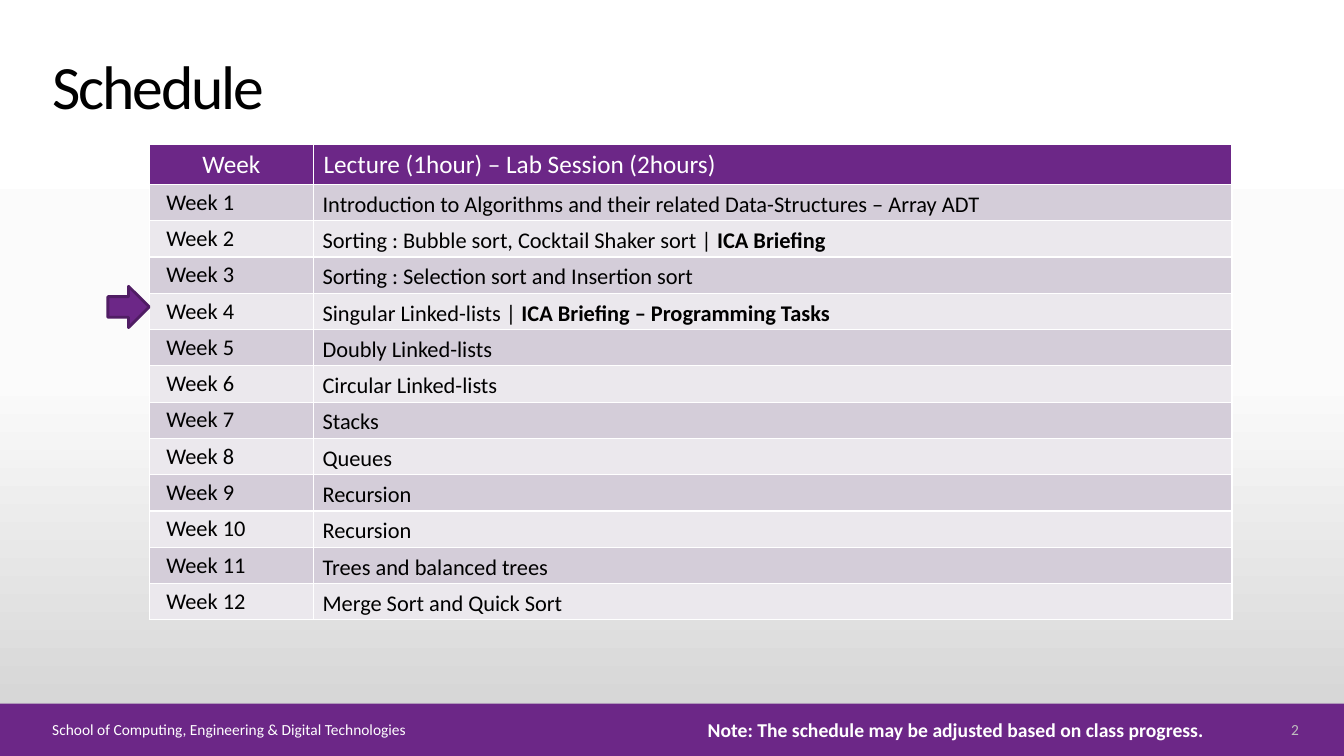
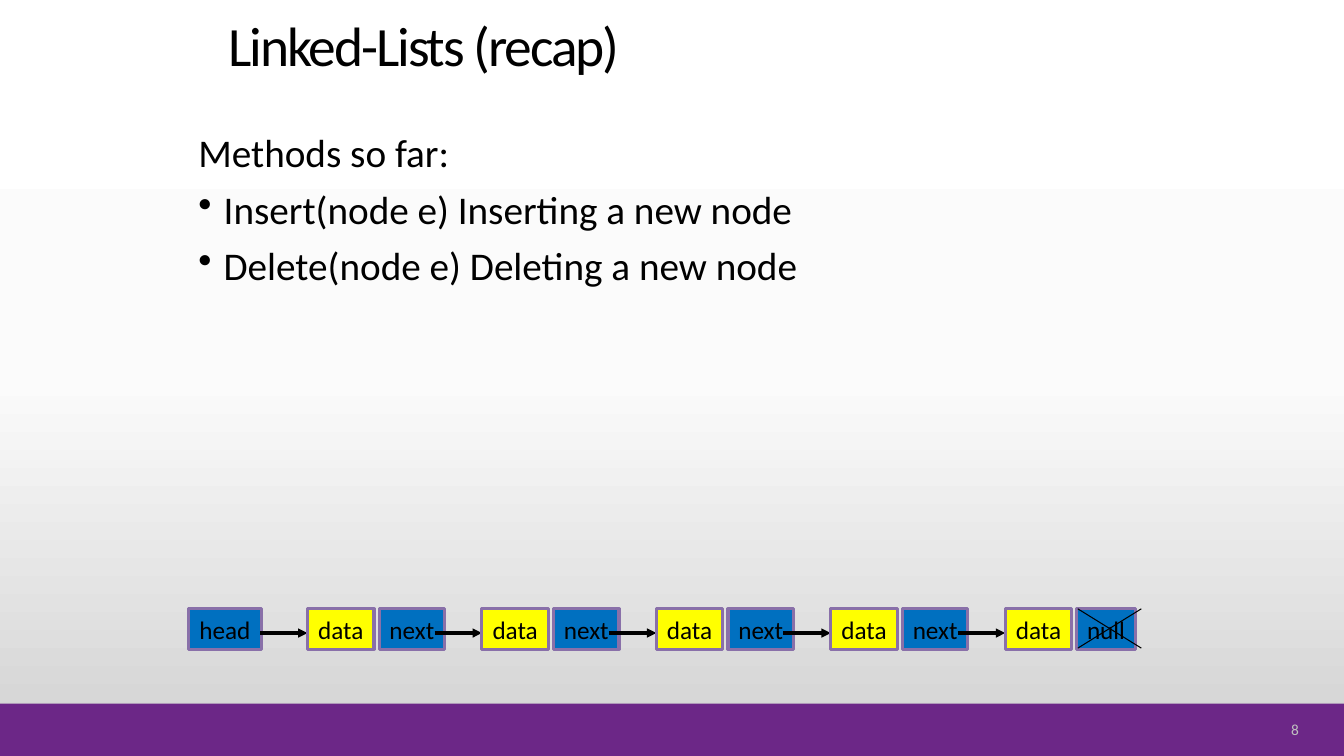
from copy import deepcopy
from dataclasses import dataclass

from lxml.etree import SubElement
from pptx import Presentation as Deck
from pptx.dml.color import RGBColor as Color
from pptx.enum.shapes import MSO_CONNECTOR as Link, MSO_SHAPE as Form
from pptx.enum.text import MSO_ANCHOR as Anchor, PP_ALIGN as Align
from pptx.oxml.ns import qn
from pptx.util import Inches, Pt


@dataclass(frozen=True)
class Theme:
    """Hold the colours, font and type sizes of the deck."""

    font: str = "Calibri"
    purple: str = "6C2787"
    edge: str = "501D64"
    rim: str = "8970A9"
    blue: str = "0070C0"
    yellow: str = "FFFF00"
    black: str = "000000"
    white: str = "FFFFFF"
    grey: str = "BFBFBF"
    bands: tuple = ("D4CDD9", "EBE8ED")
    fade: tuple = ((0, "FFFFFF"), (0.5, "FBFBFB"), (1, "D1D1D1"))
    title: float = 44
    recap: float = 39.6
    body: float = 28
    label: float = 18
    row: float = 16
    note: float = 14
    foot: float = 11


THEME = Theme()
WIDE, HIGH = 13.33, 7.5
TOPICS = (
    ("Introduction to Algorithms and their related Data-Structures – Array ADT", ""),
    ("Sorting : Bubble sort, Cocktail Shaker sort | ", "ICA Briefing"),
    ("Sorting : Selection sort and Insertion sort", ""),
    ("Singular Linked-lists | ", "ICA Briefing – Programming Tasks"),
    ("Doubly Linked-lists", ""),
    ("Circular Linked-lists", ""),
    ("Stacks", ""),
    ("Queues", ""),
    ("Recursion", ""),
    ("Recursion", ""),
    ("Trees and balanced trees", ""),
    ("Merge Sort and Quick Sort", ""),
)


def rgb(code):
    """Turn a hex code into a colour."""
    return Color.from_string(code)


def area(*sides):
    """Turn left, top, width and height into lengths."""
    return [Inches(side) for side in sides]


def style(frame, size, color, bold=False, align=Align.LEFT):
    """Format every run of a text frame."""
    for para in frame.paragraphs:
        para.alignment = align
        for run in para.runs:
            font = run.font
            font.name, font.size = THEME.font, Pt(size)
            font.color.rgb = rgb(color)
            font.bold = bold


def label(slide, text, place, size, color, anchor=Anchor.MIDDLE, **look):
    """Add a wrapped text box."""
    box = slide.shapes.add_textbox(*area(*place))
    frame = box.text_frame
    frame.word_wrap = True
    frame.vertical_anchor = anchor
    frame.text = text
    style(frame, size, color, **look)
    return box


def head(slide, text, place, size):
    """Add a tightly spaced slide title."""
    box = label(slide, text, place, size, THEME.black, Anchor.BOTTOM)
    box.text_frame.paragraphs[0].line_spacing = 0.9
    for props in box.element.iter(qn("a:rPr")):
        props.set("spc", "-150")


def block(shapes, form, place, fill, line=None, width=1):
    """Add a filled preset shape."""
    shape = shapes.add_shape(form, *area(*place))
    shape.shadow.inherit = False
    shape.fill.solid()
    shape.fill.fore_color.rgb = rgb(fill)
    if line:
        shape.line.color.rgb = rgb(line)
        shape.line.width = Pt(width)
    else:
        shape.line.fill.background()
    return shape


def stroke(shapes, start, end, width, arrow=False):
    """Add a straight black line, with an arrowhead on request."""
    line = shapes.add_connector(Link.STRAIGHT, *area(*start, *end))
    line.line.color.rgb = rgb(THEME.black)
    line.line.width = Pt(width)
    props = line.element.spPr
    if arrow:
        SubElement(props.find(qn("a:ln")), qn("a:tailEnd"), type="triangle")
    SubElement(props, qn("a:effectLst"))


def shade(master):
    """Give the master its vertical gradient."""
    fill = master.background.fill
    fill.gradient()
    fill.gradient_angle = 270
    stops = master.element.find(".//" + qn("a:gsLst"))
    stops.append(deepcopy(stops[-1]))
    for stop, (spot, code) in zip(fill.gradient_stops, THEME.fade):
        stop.position = spot
        stop.color.rgb = rgb(code)


def page(deck, number):
    """Add a slide with the footer band and its number."""
    slide = deck.slides.add_slide(deck.slide_layouts[6])
    block(slide.shapes, Form.RECTANGLE, (0, 6.98, WIDE, 0.52), THEME.purple)
    label(slide, number, (12.23, 7.12, 0.75, 0.23), THEME.foot, THEME.grey,
          align=Align.RIGHT)
    return slide


def border(frame):
    """Draw thin white borders round all table cells."""
    for props in frame.element.iter(qn("a:tcPr")):
        for spot, side in enumerate(("lnL", "lnR", "lnT", "lnB")):
            line = SubElement(props, qn("a:" + side), w=str(Pt(1)))
            fill = SubElement(line, qn("a:solidFill"))
            SubElement(fill, qn("a:srgbClr"), val=THEME.white)
            props.insert(spot, line)


def paint(cell, fill):
    """Fill a table cell."""
    cell.fill.solid()
    cell.fill.fore_color.rgb = rgb(fill)


def entry(cell, text, strong, fill, left):
    """Write a table cell below the heading row."""
    paint(cell, fill)
    cell.margin_left = Inches(left)
    cell.margin_right = cell.margin_top = cell.margin_bottom = 0
    cell.vertical_anchor = Anchor.MIDDLE
    para = cell.text_frame.paragraphs[0]
    para.text = text
    style(cell.text_frame, THEME.row, THEME.black)
    if strong:
        run = para.add_run()
        run.text = strong
        style(cell.text_frame, THEME.row, THEME.black)
        run.font.bold = True
    return para


def grid(slide):
    """Add the table of weeks and topics."""
    frame = slide.shapes.add_table(len(TOPICS) + 1, 2, *area(1.48, 1.43, 10.74, 4.72))
    table = frame.table
    for column, width in zip(table.columns, (1.63, 9.11)):
        column.width = Inches(width)
    for row in table.rows:
        row.height = Inches(0.36)
    table.rows[0].height = Inches(0.4)
    heads = (("Week", Align.CENTER),
             ("Lecture (1hour) – Lab Session (2hours)", Align.LEFT))
    for spot, (text, align) in enumerate(heads):
        cell = table.cell(0, spot)
        paint(cell, THEME.purple)
        cell.text_frame.text = text
        style(cell.text_frame, THEME.label, THEME.white, align=align)
    for week, (topic, strong) in enumerate(TOPICS, 1):
        fill = THEME.bands[(week - 1) % 2]
        entry(table.cell(week, 0), f"Week {week}", "", fill, 0.17)
        para = entry(table.cell(week, 1), topic, strong, fill, 0.09)
        para.line_spacing = 1.15
    border(frame)


def points(slide, lead, items):
    """Add a lead line followed by bullets."""
    box = label(slide, "\n".join((lead, *items)), (1.87, 1.28, 8.99, 5.51),
                THEME.body, THEME.black, Anchor.TOP)
    for para in box.text_frame.paragraphs:
        para.line_spacing = 0.9
    for para in box.text_frame.paragraphs[1:]:
        para.space_before = Pt(10)
    for props in list(box.element.iter(qn("a:pPr")))[1:]:
        props.set("marL", str(Inches(0.25)))
        props.set("indent", str(Inches(-0.25)))
        SubElement(props, qn("a:buChar"), char="•")


def node(shapes, text, left, width, fill):
    """Add one labelled box of the linked list."""
    box = block(shapes, Form.RECTANGLE, (left, 6.04, width, 0.4), fill, THEME.rim, 2.25)
    frame = box.text_frame
    frame.word_wrap = False
    frame.vertical_anchor = Anchor.MIDDLE
    frame.text = text
    style(frame, THEME.label, THEME.black, align=Align.CENTER)


def point(shapes, left):
    """Add the arrow that leads to the next node."""
    stroke(shapes, (left, 6.28), (left + 0.47, 6.28), 2.25, True)


def chain(slide, count=5, first=3.05, step=1.73):
    """Draw the linked list from its head to null."""
    start = slide.shapes.add_group_shape().shapes
    node(start, "head", 1.87, 0.72, THEME.blue)
    point(start, first - 0.47)
    for spot in range(count):
        left = first + spot * step
        shapes = slide.shapes.add_group_shape().shapes
        node(shapes, "data", left, 0.66, THEME.yellow)
        if spot < count - 1:
            node(shapes, "next", left + 0.71, 0.65, THEME.blue)
            point(shapes, left + 1.26)
        else:
            node(shapes, "null", left + 0.71, 0.58, THEME.blue)
            near, far = left + 0.72, left + 1.35
            stroke(shapes, (near, 6.04), (far, 6.43), 0.75)
            stroke(shapes, (far, 6.04), (near, 6.43), 0.75)


def plan(deck):
    """Build the schedule slide."""
    slide = page(deck, "2")
    head(slide, "Schedule", (0.42, 0.4, 10.4, 0.87), THEME.title)
    label(slide, "School of Computing, Engineering & Digital Technologies",
          (0.42, 7.12, 6, 0.23), THEME.foot, THEME.white)
    grid(slide)
    block(slide.shapes, Form.RIGHT_ARROW, (1.07, 2.84, 0.41, 0.41),
          THEME.purple, THEME.edge, 2)
    label(slide, "Note: The schedule may be adjusted based on class progress.",
          (6.92, 7.07, 5.2, 0.34), THEME.note, THEME.white, bold=True)


def recap(deck):
    """Build the linked list slide."""
    slide = page(deck, "8")
    head(slide, "Linked-Lists (recap)", (2.17, 0.13, 8.25, 0.7), THEME.recap)
    points(slide, "Methods so far:", ("Insert(node e) Inserting a new node",
                                      "Delete(node e) Deleting a new node"))
    chain(slide)


def main():
    """Build and save the deck."""
    deck = Deck()
    deck.slide_width, deck.slide_height = Inches(WIDE), Inches(HIGH)
    shade(deck.slide_master)
    plan(deck)
    recap(deck)
    deck.save("out.pptx")


if __name__ == "__main__":
    main()
